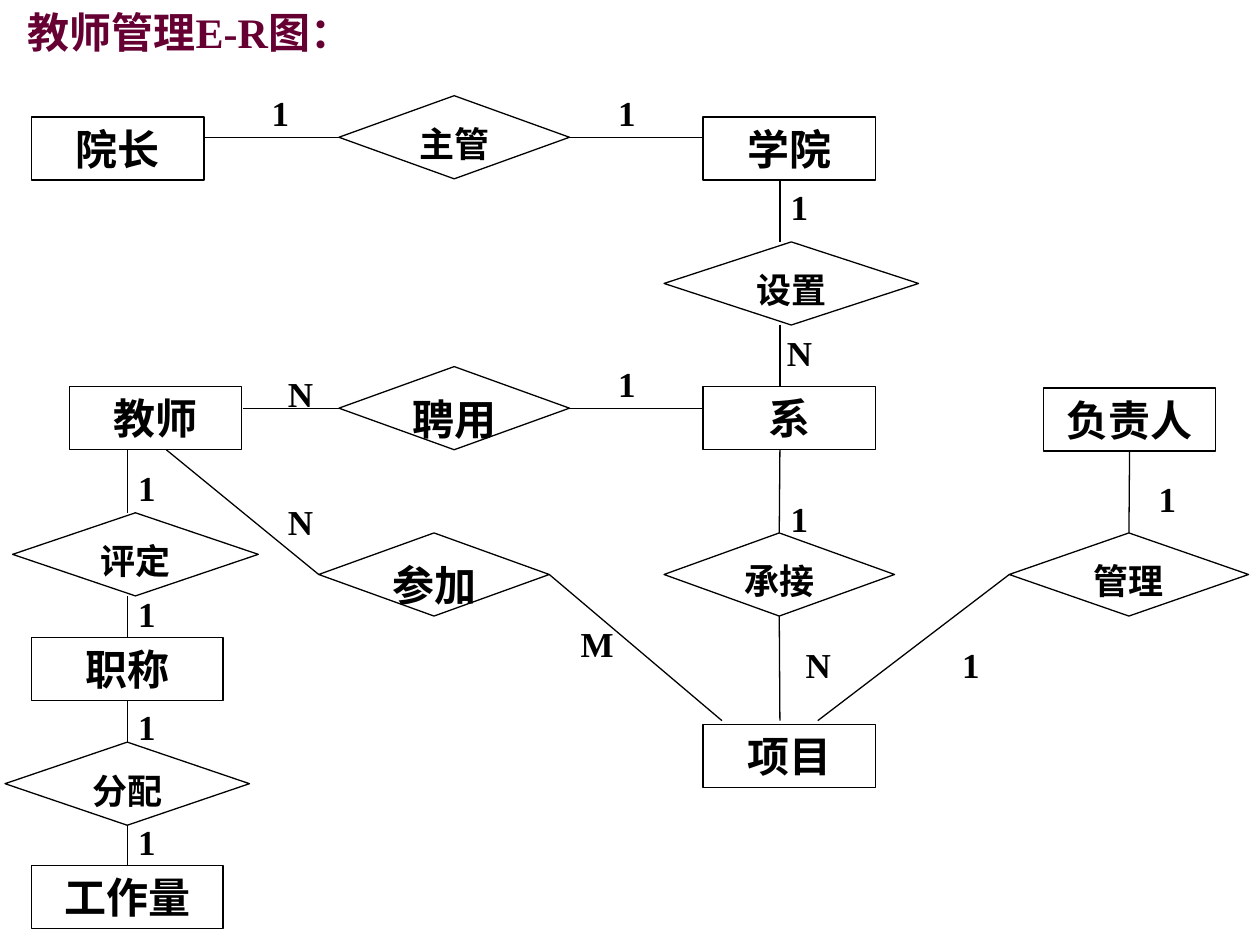
from typing import NamedTuple, Union

from lxml.etree import SubElement
from pptx import Presentation
from pptx.dml.color import RGBColor
from pptx.enum.shapes import MSO_CONNECTOR as Conn, MSO_SHAPE as Geo
from pptx.enum.text import MSO_ANCHOR as Anchor, MSO_AUTO_SIZE as Fit, PP_ALIGN as Align
from pptx.oxml.ns import qn
from pptx.util import Inches, Pt

COLORS = {"title": "660033", "ink": "000000", "paper": "FFFFFF"}
FONT = "Times New Roman"
TOP, LEFT, BOTTOM, RIGHT = range(4)
ENTITY_H, RELATION_H = 0.5, 0.66
LINE_W = 0.75


class Node(NamedTuple):
    text: str
    x: float
    y: float
    w: float
    size: int


class Point(NamedTuple):
    x: float
    y: float


class Joint(NamedTuple):
    node: str
    side: int


class Link(NamedTuple):
    start: Union[Point, Joint]
    end: Union[Point, Joint]


class Label(NamedTuple):
    text: str
    x: float
    y: float
    w: float = 0.61
    h: float = 0.5


ENTITIES = [
    Node("院长", 0.25, 0.93, 1.37, 24),
    Node("学院", 5.58, 0.93, 1.37, 24),
    Node("教师", 0.55, 3.07, 1.37, 24),
    Node("系", 5.58, 3.07, 1.37, 24),
    Node("负责人", 8.28, 3.08, 1.37, 24),
    Node("职称", 0.25, 5.06, 1.52, 24),
    Node("项目", 5.58, 5.75, 1.37, 24),
    Node("工作量", 0.25, 6.87, 1.52, 24),
]
RELATIONS = [
    Node("主管", 2.69, 0.76, 1.83, 20),
    Node("设置", 5.27, 1.92, 2.02, 20),
    Node("聘用", 2.69, 2.91, 1.83, 24),
    Node("评定", 0.1, 4.07, 1.95, 20),
    Node("参加", 2.53, 4.23, 1.83, 24),
    Node("承接", 5.27, 4.23, 1.83, 20),
    Node("管理", 8.01, 4.23, 1.9, 20),
    Node("分配", 0.04, 5.89, 1.94, 20),
]
LINKS = [
    Link(Point(1.62, 1.09), Joint("主管", LEFT)),
    Link(Joint("主管", RIGHT), Point(5.58, 1.09)),
    Link(Point(6.19, 1.42), Point(6.19, 1.92)),
    Link(Point(6.19, 2.58), Point(6.19, 3.07)),
    Link(Point(1.93, 3.24), Joint("聘用", LEFT)),
    Link(Joint("聘用", RIGHT), Point(5.58, 3.24)),
    Link(Point(1.01, 3.57), Point(1.01, 4.07)),
    Link(Point(1.01, 4.73), Joint("职称", TOP)),
    Link(Joint("职称", BOTTOM), Joint("分配", TOP)),
    Link(Joint("分配", BOTTOM), Joint("工作量", TOP)),
    Link(Point(1.32, 3.57), Joint("参加", LEFT)),
    Link(Joint("参加", RIGHT), Point(5.73, 5.72)),
    Link(Point(6.19, 3.57), Joint("承接", TOP)),
    Link(Joint("承接", BOTTOM), Point(6.19, 5.72)),
    Link(Joint("负责人", BOTTOM), Joint("管理", TOP)),
    Link(Joint("管理", LEFT), Point(6.49, 5.72)),
]
LABELS = [
    Label("1", 1.92, 0.68),
    Label("1", 4.67, 0.68),
    Label("1", 6.04, 1.42),
    Label("N", 6.04, 2.58),
    Label("N", 2.08, 2.91, h=0.33),
    Label("1", 4.67, 2.83, h=0.33),
    Label("N", 2.08, 3.92, h=0.33),
    Label("1", 6.04, 3.9, h=0.33),
    Label("M", 4.36, 4.89, w=0.76, h=0.33),
    Label("N", 6.19, 5.06, h=0.33),
    Label("1", 8.96, 3.74),
    Label("1", 7.4, 5.06),
    Label("1", 0.86, 3.65),
    Label("1", 0.86, 4.65),
    Label("1", 0.86, 5.55),
    Label("1", 0.86, 6.46),
]


def rgb(name: str) -> RGBColor:
    return RGBColor.from_string(COLORS[name])


def box(x: float, y: float, w: float, h: float) -> list:
    return [Inches(v) for v in (x, y, w, h)]


def write(sp, text: str, size: int, color: str = "ink", align=Align.CENTER) -> None:
    tf = sp.text_frame
    tf.word_wrap = True
    tf.auto_size = Fit.NONE
    tf.vertical_anchor = Anchor.TOP
    p = tf.paragraphs[0]
    p.alignment = align
    r = p.add_run()
    r.text = text
    r.font.name = FONT
    r.font.size = Pt(size)
    r.font.bold = True
    r.font.color.rgb = rgb(color)


def add_title(slide, text: str) -> None:
    sp = slide.shapes.title
    sp.left, sp.top, sp.width, sp.height = box(0.12, 0, 3.31, 0.5)
    write(sp, text, 24, "title", Align.JUSTIFY)


def add_node(slide, node: Node, geo, h: float):
    sp = slide.shapes.add_shape(geo, *box(node.x, node.y, node.w, h))
    sp.shadow.inherit = False
    sp.fill.solid()
    sp.fill.fore_color.rgb = rgb("paper")
    sp.line.color.rgb = rgb("ink")
    sp.line.width = Pt(LINE_W)
    write(sp, node.text, node.size)
    return sp


def add_link(slide, link: Link, nodes: dict) -> None:
    ends = [e if isinstance(e, Point) else Point(0, 0) for e in link]
    cxn = slide.shapes.add_connector(Conn.STRAIGHT, *[Inches(v) for e in ends for v in e])
    for end, connect in zip(link, (cxn.begin_connect, cxn.end_connect)):
        if isinstance(end, Joint):
            connect(nodes[end.node], end.side)
    cxn.line.color.rgb = rgb("ink")
    cxn.line.width = Pt(LINE_W)
    SubElement(cxn._element.spPr, qn("a:effectLst"))


def add_label(slide, label: Label) -> None:
    sp = slide.shapes.add_textbox(*box(label.x, label.y, label.w, label.h))
    write(sp, label.text, 20)


def main() -> None:
    prs = Presentation()
    prs.slide_width, prs.slide_height = Inches(10), Inches(7.5)
    slide = prs.slides.add_slide(prs.slide_layouts[5])
    add_title(slide, "教师管理E-R图：")
    nodes = {}
    for group, geo, h in (
        (ENTITIES, Geo.RECTANGLE, ENTITY_H),
        (RELATIONS, Geo.FLOWCHART_DECISION, RELATION_H),
    ):
        for node in group:
            nodes[node.text] = add_node(slide, node, geo, h)
    for link in LINKS:
        add_link(slide, link, nodes)
    for label in LABELS:
        add_label(slide, label)
    prs.save("out.pptx")


if __name__ == "__main__":
    main()
